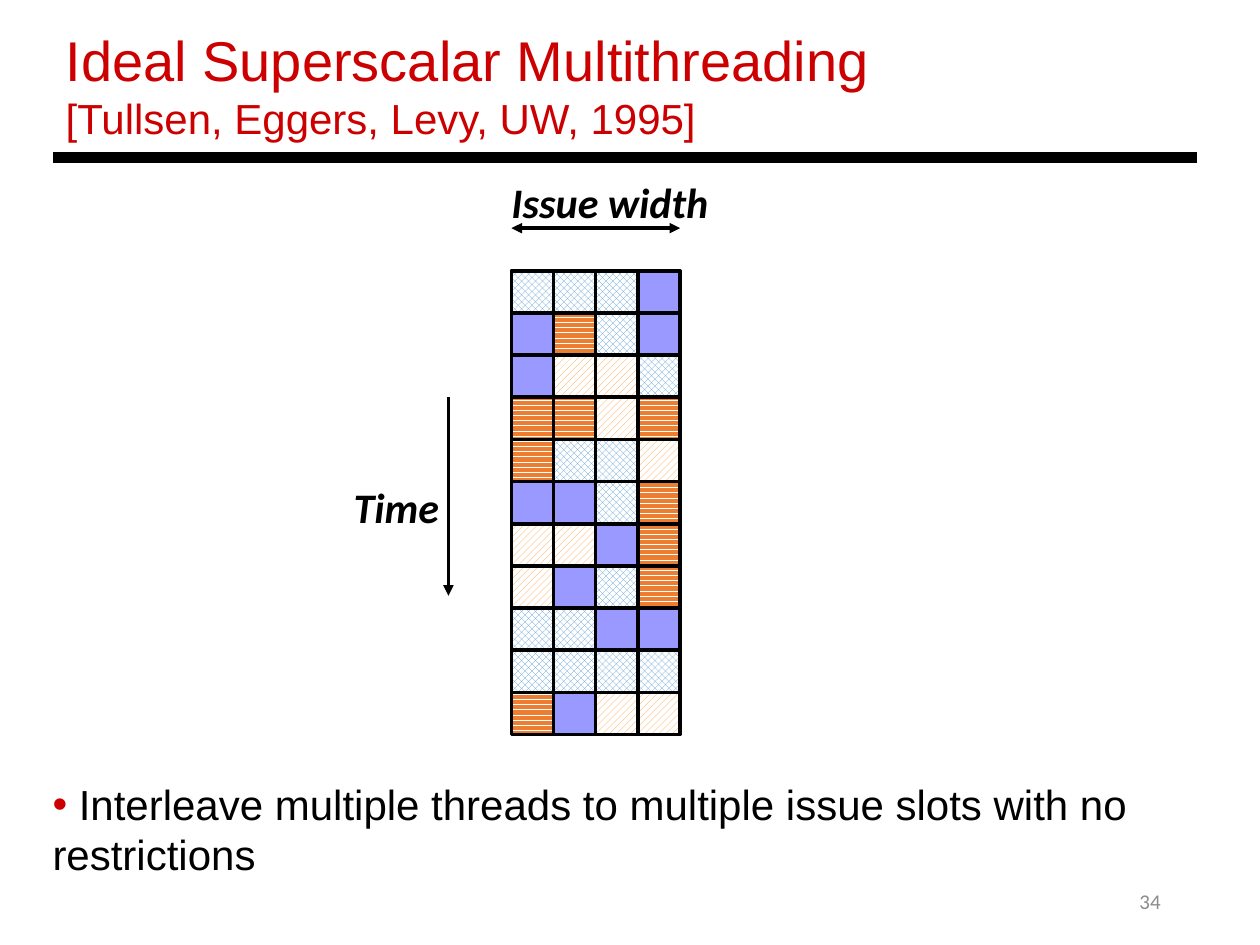
"""Build the slide on ideal superscalar multithreading."""
from lxml.etree import SubElement
from pptx import Presentation
from pptx.dml.color import RGBColor
from pptx.enum.dml import MSO_PATTERN
from pptx.enum.shapes import MSO_CONNECTOR, MSO_SHAPE
from pptx.enum.text import MSO_ANCHOR, MSO_AUTO_SIZE, PP_ALIGN
from pptx.oxml.ns import qn
from pptx.util import Cm, Pt

RED, BLACK, WHITE, GREY = "CC0000", "000000", "FFFFFF", "8C8C8C"
TITLE = [("Ideal Superscalar Multithreading", 32),
         ("[Tullsen, Eggers, Levy, UW, 1995]", 24)]
BODY = {"name": "Arial", "size": Pt(24), "color": BLACK}
LABEL = {"name": "Calibri", "size": Pt(24), "bold": True, "italic": True, "color": BLACK}
NUMBER = {"name": "Calibri", "size": Pt(12), "color": GREY}

THREADS = {
    "D": (MSO_PATTERN.SOLID_DIAMOND, "5B9BD5"),
    "H": (MSO_PATTERN.DARK_HORIZONTAL, "ED7D31"),
    "U": (MSO_PATTERN.WIDE_UPWARD_DIAGONAL, "FF9933"),
    "P": (None, "9999FF"),
}
CYCLES = ["DDDP", "PHDP", "PUUD", "HHUH", "HDDU", "PPDH",
          "UUPH", "UPDH", "DDPP", "DDDD", "HPUU"]
GRID_LEFT, GRID_TOP, SLOT = 10.31, 5.46, 0.85
GRID_RIGHT = GRID_LEFT + SLOT * len(CYCLES[0])

LINES = [
    ((1.07, 3.17), (24.13, 3.17), 6, []),
    ((GRID_LEFT, 4.6), (GRID_RIGHT, 4.6), 2, ["headEnd", "tailEnd"]),
    ((9.04, 8), (9.04, 12.01), 2, ["tailEnd"]),
]
LABELS = [("Issue width", (10.06, 3.43, 4.72, 1.3)),
          ("Time", (6.88, 9.58, 2.46, 1.3))]


def color(value):
    return RGBColor.from_string(value)


def style(font, formats):
    for name, value in formats.items():
        if name == "color":
            font.color.rgb = color(value)
        else:
            setattr(font, name, value)


def add_text(page, text, place, formats, wrap=True, bullet=None):
    box = page.shapes.add_textbox(*map(Cm, place))
    frame = box.text_frame
    frame.word_wrap = wrap
    frame.auto_size = MSO_AUTO_SIZE.NONE if wrap else MSO_AUTO_SIZE.SHAPE_TO_FIT_TEXT
    para = frame.paragraphs[0]
    if bullet:
        properties = para._p.get_or_add_pPr()
        properties.set("marL", "0")
        properties.set("indent", "0")
        tint = SubElement(properties, qn("a:buClr"))
        SubElement(tint, qn("a:srgbClr"), val=RED)
        SubElement(properties, qn("a:buFont"), typeface="Arial")
        SubElement(properties, qn("a:buChar"), char=bullet)
    span = para.add_run()
    span.text = text
    style(span.font, formats)
    return box


def fill_title(page):
    title = page.shapes.title
    place = {"left": 1.07, "top": 0.38, "width": 19.56, "height": 2.64}
    for name, value in place.items():
        setattr(title, name, Cm(value))
    frame = title.text_frame
    frame.auto_size = MSO_AUTO_SIZE.NONE
    frame.vertical_anchor = MSO_ANCHOR.TOP
    para = frame.paragraphs[0]
    para.alignment = PP_ALIGN.LEFT
    for index, (text, size) in enumerate(TITLE):
        if index:
            para.add_line_break()
        span = para.add_run()
        span.text = text
        style(span.font, {"name": "Arial", "size": Pt(size), "color": RED})


def add_slot(page, row, column, thread):
    slot = page.shapes.add_shape(
        MSO_SHAPE.RECTANGLE, Cm(GRID_LEFT + column * SLOT), Cm(GRID_TOP + row * SLOT),
        Cm(SLOT), Cm(SLOT))
    slot.shadow.inherit = False
    slot.line.color.rgb = color(BLACK)
    slot.line.width = Pt(2)
    pattern, tint = THREADS[thread]
    if pattern is None:
        slot.fill.solid()
        slot.fill.fore_color.rgb = color(tint)
    else:
        slot.fill.patterned()
        slot.fill.pattern = pattern
        slot.fill.fore_color.rgb = color(tint)
        slot.fill.back_color.rgb = color(WHITE)


def add_line(page, start, end, width, arrowheads):
    line = page.shapes.add_connector(MSO_CONNECTOR.STRAIGHT, *map(Cm, start + end))
    line.line.color.rgb = color(BLACK)
    line.line.width = Pt(width)
    for arrowhead in arrowheads:
        SubElement(line.line._get_or_add_ln(), qn("a:" + arrowhead), type="triangle")
    SubElement(line._element.spPr, qn("a:effectLst"))


def main():
    deck = Presentation()
    deck.slide_width, deck.slide_height = Cm(25.4), Cm(19.05)
    page = deck.slides.add_slide(deck.slide_layouts[5])
    fill_title(page)
    for row, threads in enumerate(CYCLES):
        for column, thread in enumerate(threads):
            add_slot(page, row, column, thread)
    for line in LINES:
        add_line(page, *line)
    for text, place in LABELS:
        add_text(page, text, place, LABEL, wrap=False)
    add_text(page, " Interleave multiple threads to multiple issue slots with no restrictions",
             (0.81, 15.57, 23.57, 2.31), BODY, bullet="•")
    number = add_text(page, "34", (17.93, 17.65, 5.72, 1.02), NUMBER).text_frame
    number.vertical_anchor = MSO_ANCHOR.MIDDLE
    number.paragraphs[0].alignment = PP_ALIGN.RIGHT
    deck.save("out.pptx")


if __name__ == "__main__":
    main()
